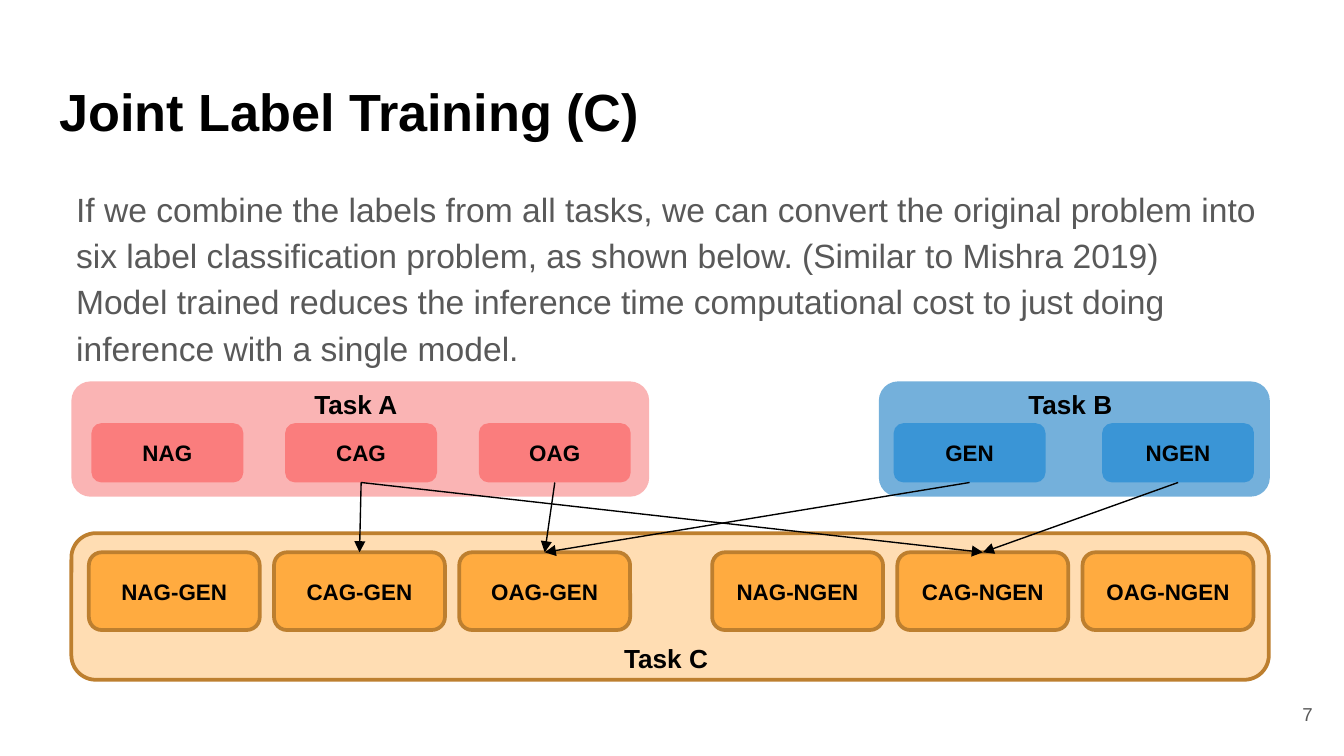
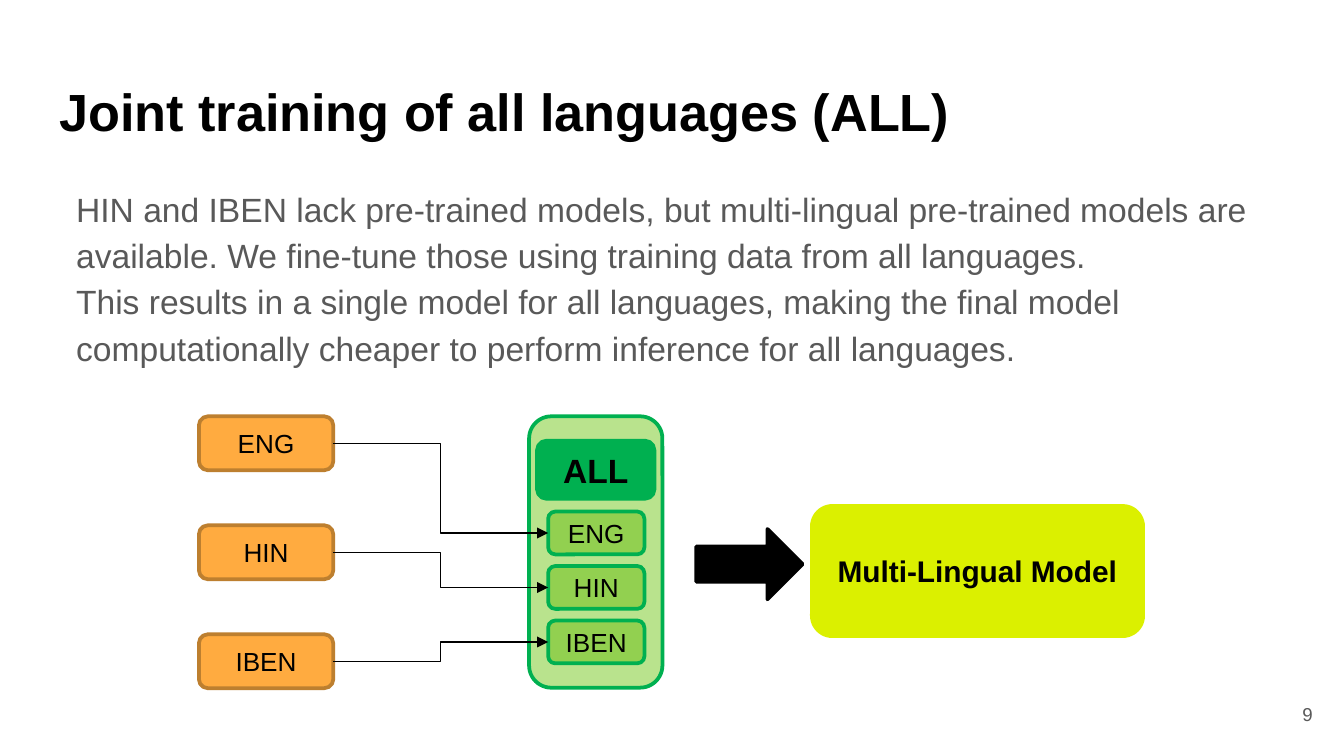
from lxml import etree
from pptx import Presentation
from pptx.dml.color import RGBColor
from pptx.enum.shapes import MSO_CONNECTOR, MSO_SHAPE
from pptx.enum.text import MSO_ANCHOR, PP_ALIGN
from pptx.oxml.ns import qn
from pptx.util import Cm, Pt

ROUNDED, ARROW = MSO_SHAPE.ROUNDED_RECTANGLE, MSO_SHAPE.RIGHT_ARROW
STRAIGHT, ELBOW = MSO_CONNECTOR.STRAIGHT, MSO_CONNECTOR.ELBOW
TOP, MIDDLE = MSO_ANCHOR.TOP, MSO_ANCHOR.MIDDLE
LEFT, CENTER, RIGHT = PP_ALIGN.LEFT, PP_ALIGN.CENTER, PP_ALIGN.RIGHT
SITE_TOP, SITE_LEFT, SITE_BOTTOM, SITE_RIGHT = range(4)

BLACK = RGBColor(0x00, 0x00, 0x00)
GREY = RGBColor(0x59, 0x59, 0x59)
PINK = RGBColor(0xFA, 0xB4, 0xB4)
RED = RGBColor(0xFA, 0x7D, 0x7D)
PALE_BLUE = RGBColor(0x74, 0xB0, 0xDB)
BLUE = RGBColor(0x3A, 0x95, 0xD6)
CREAM = RGBColor(0xFF, 0xDD, 0xB3)
ORANGE = RGBColor(0xFF, 0xAB, 0x40)
BROWN = RGBColor(0xBD, 0x7F, 0x2F)
PALE_GREEN = RGBColor(0xB9, 0xE3, 0x8D)
LIGHT_GREEN = RGBColor(0x92, 0xD0, 0x50)
GREEN = RGBColor(0x00, 0xB0, 0x50)
LIME = RGBColor(0xDB, 0xF0, 0x00)
FONT = "Arial"

LABELS = {
    "title": "Joint Label Training (C)",
    "body": [
        "If we combine the labels from all tasks, we can convert the original problem into "
        "six label classification problem, as shown below. (Similar to Mishra 2019)",
        "Model trained reduces the inference time computational cost to just doing "
        "inference with a single model.",
    ],
    "body_height": 3.73,
    "number": "7",
}
LANGUAGES = {
    "title": "Joint training of all languages (ALL)",
    "body": [
        "HIN and IBEN lack pre-trained models, but multi-lingual pre-trained models are "
        "available. We fine-tune those using training data from all languages.",
        "This results in a single model for all languages, making the final model "
        "computationally cheaper to perform inference for all languages.",
    ],
    "body_height": 3.94,
    "number": "9",
}
TASKS = [
    {"name": "Task A", "panel": (1.35, 7.21, 10.92, 2.18), "name_top": 7.21,
     "fills": (PINK, RED), "outline": None, "chip": (8, 2.87, 1.12),
     "rows": [(1.73, 3.66, ["NAG", "CAG", "OAG"])]},
    {"name": "Task B", "panel": (16.61, 7.21, 7.39, 2.18), "name_top": 7.21,
     "fills": (PALE_BLUE, BLUE), "outline": None, "chip": (8, 2.87, 1.12),
     "rows": [(16.89, 3.94, ["GEN", "NGEN"])]},
    {"name": "Task C", "panel": (1.35, 10.08, 22.63, 2.77), "name_top": 12.01,
     "fills": (CREAM, ORANGE), "outline": BROWN, "chip": (10.44, 3.23, 1.47),
     "rows": [(1.68, 3.5, ["NAG-GEN", "CAG-GEN", "OAG-GEN"]),
              (13.46, 3.5, ["NAG-NGEN", "CAG-NGEN", "OAG-NGEN"])]},
]
LABEL_LINKS = [
    ("CAG", "CAG-GEN"), ("CAG", "CAG-NGEN"), ("OAG", "OAG-GEN"),
    ("GEN", "OAG-GEN"), ("NGEN", "CAG-NGEN"),
]
LANGUAGE_CODES = ["ENG", "HIN", "IBEN"]
NAME_WIDTH, NAME_HEIGHT = 2.24, 0.86


def write(shape, text, size=14, color=BLACK, bold=False, align=CENTER, anchor=MIDDLE,
          inset=None, indent=0, spacing=None):
    frame = shape.text_frame
    frame.word_wrap = True
    frame.vertical_anchor = anchor
    if inset is not None:
        frame.margin_left = frame.margin_right = Cm(inset)
        frame.margin_top = frame.margin_bottom = Cm(inset)
    lines = [text] if isinstance(text, str) else text
    for index, line in enumerate(lines):
        paragraph = frame.add_paragraph() if index else frame.paragraphs[0]
        paragraph.alignment = align
        if spacing:
            paragraph.line_spacing = spacing
        if indent:
            properties = paragraph._p.get_or_add_pPr()
            properties.set("marL", str(Cm(indent)))
            properties.set("indent", "0")
        run = paragraph.add_run()
        run.text = line
        run.font.name, run.font.size = FONT, Pt(size)
        run.font.bold, run.font.color.rgb = bold, color


def add_text(slide, box, text, **style):
    write(slide.shapes.add_textbox(*map(Cm, box)), text, **style)


def add_box(slide, box, fill, outline=None, text=None, kind=ROUNDED, **style):
    shape = slide.shapes.add_shape(kind, *map(Cm, box))
    shape.shadow.inherit = False
    shape.fill.solid()
    shape.fill.fore_color.rgb = fill
    if outline is None:
        shape.line.fill.background()
    else:
        shape.line.color.rgb = outline
        shape.line.width = Pt(2)
    if text:
        write(shape, text, **style)
    return shape


def link(slide, kind, source, source_site, target, target_site):
    connector = slide.shapes.add_connector(kind, 0, 0, 0, 0)
    connector.begin_connect(source, source_site)
    connector.end_connect(target, target_site)
    connector.line.color.rgb = BLACK
    connector.line.width = Pt(0.75)
    etree.SubElement(connector.line._get_or_add_ln(), qn("a:tailEnd"), type="triangle")
    etree.SubElement(connector._element.spPr, qn("a:effectLst"))


def start_slide(deck, content):
    slide = deck.slides.add_slide(deck.slide_layouts[6])
    add_text(slide, (0.87, 1.24, 23.67, 1.6), content["title"], size=28, bold=True,
             align=LEFT, anchor=TOP, inset=0.25)
    add_text(slide, (0.87, 3.2, 23.67, content["body_height"]), content["body"], size=18,
             color=GREY, align=LEFT, anchor=TOP, inset=0.25, indent=0.32, spacing=1.15)
    add_text(slide, (23.54, 12.95, 1.52, 1.09), content["number"], size=10, color=GREY,
             align=RIGHT, inset=0.25)
    return slide


def build_labels(deck):
    slide = start_slide(deck, LABELS)
    chips = {}
    for task in TASKS:
        left, _, width, _ = task["panel"]
        panel_fill, chip_fill = task["fills"]
        add_box(slide, task["panel"], panel_fill, task["outline"])
        name_left = left + (width - NAME_WIDTH) / 2
        add_text(slide, (name_left, task["name_top"], NAME_WIDTH, NAME_HEIGHT),
                 task["name"], bold=True, align=LEFT, anchor=TOP)
        chip_top, chip_width, chip_height = task["chip"]
        for start, pitch, labels in task["rows"]:
            for column, label in enumerate(labels):
                box = (start + column * pitch, chip_top, chip_width, chip_height)
                chips[label] = add_box(slide, box, chip_fill, task["outline"], label,
                                       size=12, bold=True)
    for source, target in LABEL_LINKS:
        link(slide, STRAIGHT, chips[source], SITE_BOTTOM, chips[target], SITE_TOP)


def build_languages(deck):
    slide = start_slide(deck, LANGUAGES)
    add_box(slide, (10, 7.87, 2.52, 5.13), PALE_GREEN, GREEN)
    add_box(slide, (10.15, 8.33, 2.22, 1.1), GREEN, GREEN, "ALL", size=18, bold=True)
    for row, code in enumerate(LANGUAGE_CODES):
        single = add_box(slide, (3.76, 7.87 + row * 2.06, 2.54, 1.02), ORANGE, BROWN, code)
        joint = add_box(slide, (10.36, 9.67 + row * 1.03, 1.82, 0.81), LIGHT_GREEN, GREEN, code)
        link(slide, ELBOW, single, SITE_RIGHT, joint, SITE_LEFT)
    add_box(slide, (15.31, 9.53, 6.33, 2.53), LIME, None, "Multi-Lingual Model",
            size=16, bold=True)
    add_box(slide, (13.16, 10, 2.01, 1.33), BLACK, BLACK, kind=ARROW)


def main():
    deck = Presentation()
    deck.slide_width, deck.slide_height = Cm(25.4), Cm(14.29)
    build_labels(deck)
    build_languages(deck)
    deck.save("out.pptx")


if __name__ == "__main__":
    main()
